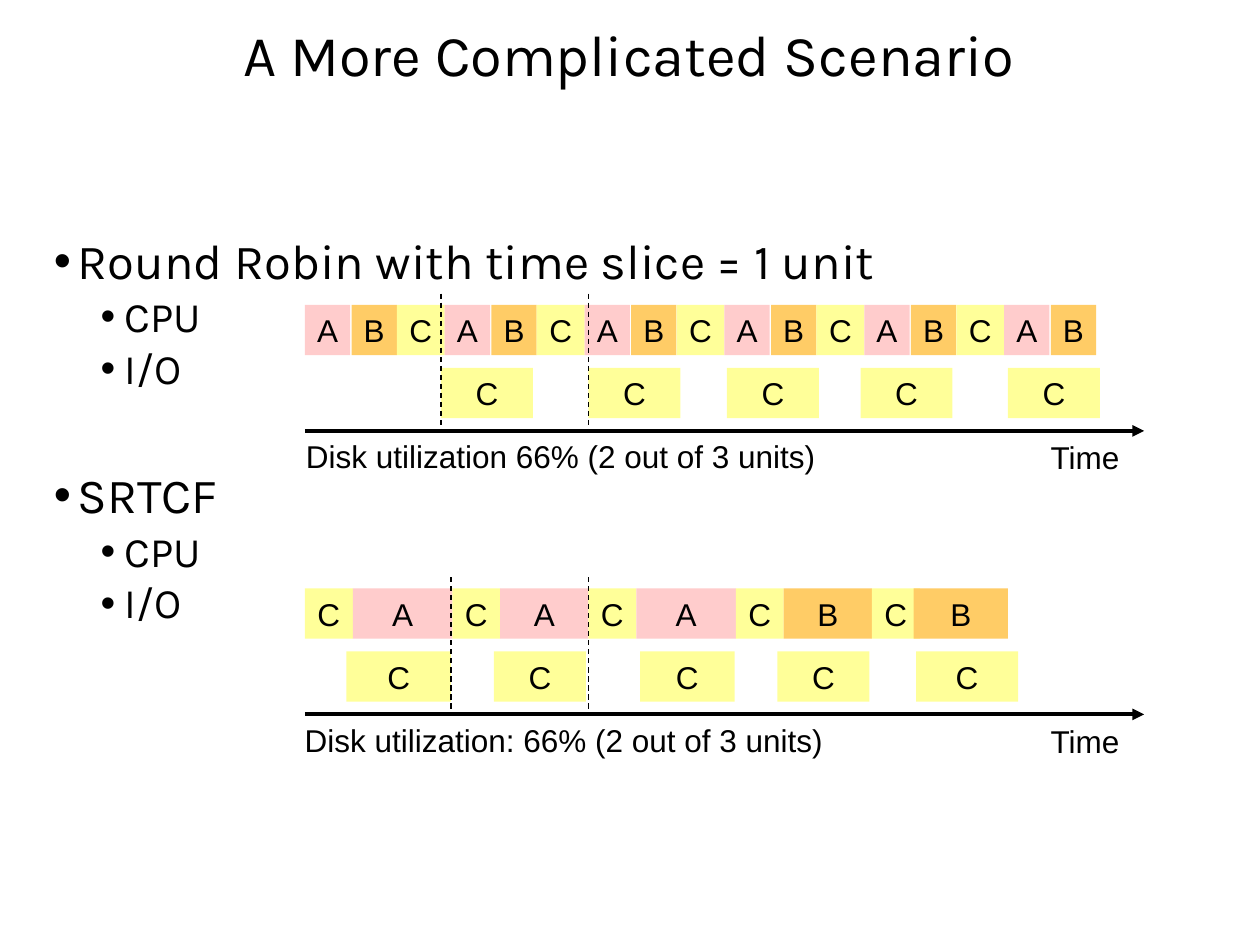
from dataclasses import dataclass

from lxml.etree import SubElement
from pptx import Presentation
from pptx.dml.color import RGBColor
from pptx.enum.dml import MSO_LINE
from pptx.enum.shapes import MSO_CONNECTOR, MSO_SHAPE
from pptx.enum.text import MSO_ANCHOR, PP_ALIGN
from pptx.oxml.ns import qn
from pptx.util import Inches, Pt


@dataclass(frozen=True)
class Theme:
    ink = RGBColor(0x00, 0x00, 0x00)
    jobs = {
        "A": RGBColor(0xFF, 0xCC, 0xCC),
        "B": RGBColor(0xFF, 0xCC, 0x66),
        "C": RGBColor(0xFF, 0xFF, 0x99),
    }
    body_font = "Karla"
    chart_font = "Arial"
    title_size = Pt(33)
    level_sizes = (Pt(28), Pt(24))
    chart_size = Pt(18)


theme = Theme()
prs = Presentation()
prs.slide_width, prs.slide_height = Inches(10), Inches(7.5)
slide = prs.slides.add_slide(prs.slide_layouts[6])


def add_label(text, left, top, width, height=0.4, fill=None, align=PP_ALIGN.LEFT,
              font=theme.chart_font, size=theme.chart_size):
    """Add one line of text, on a filled rectangle if a fill is given."""
    place = [Inches(v) for v in (left, top, width, height)]
    if fill is None:
        label = slide.shapes.add_textbox(*place)
    else:
        label = slide.shapes.add_shape(MSO_SHAPE.RECTANGLE, *place)
        label.shadow.inherit = False
        label.fill.solid()
        label.fill.fore_color.rgb = fill
        label.line.fill.background()
    frame = label.text_frame
    frame.word_wrap = fill is None and align == PP_ALIGN.CENTER
    frame.vertical_anchor = MSO_ANCHOR.MIDDLE
    line = frame.paragraphs[0]
    line.text = text
    line.alignment = align
    line.font.name, line.font.size, line.font.color.rgb = font, size, theme.ink


def add_line(x1, y1, x2, y2, weight):
    """Add a straight black line without a shadow."""
    line = slide.shapes.add_connector(
        MSO_CONNECTOR.STRAIGHT, Inches(x1), Inches(y1), Inches(x2), Inches(y2))
    line.line.color.rgb = theme.ink
    line.line.width = Pt(weight)
    SubElement(line._element.spPr, qn("a:effectLst"))
    return line


# Title
add_label("A More Complicated Scenario", 0.33, 0, 9.33, 0.85, align=PP_ALIGN.CENTER,
          font=theme.body_font, size=theme.title_size)

# Outline: text, level, space before in points
outline = [
    ("Round Robin with time slice = 1 unit", 0, 0),
    ("CPU", 1, 3.7),
    ("I/O", 1, 3.7),
    ("SRTCF", 0, 44.5),
    ("CPU", 1, 3.7),
    ("I/O", 1, 3.7),
]
outline_frame = slide.shapes.add_textbox(
    Inches(0.33), Inches(1.83), Inches(9.33), Inches(4.92)).text_frame
outline_frame.word_wrap = True
for number, (text, level, space) in enumerate(outline):
    item = outline_frame.add_paragraph() if number else outline_frame.paragraphs[0]
    item.text = text
    item.level = level
    item.line_spacing = 0.9
    item.space_before = Pt(space)
    props = item._p.get_or_add_pPr()
    props.set("marL", str(Inches((0.19, 0.56)[level])))
    props.set("indent", str(Inches(-0.19)))
    bullet_color = SubElement(props, qn("a:buClr"))
    SubElement(bullet_color, qn("a:srgbClr"), val=str(theme.ink))
    SubElement(props, qn("a:buFont"), typeface=theme.chart_font)
    SubElement(props, qn("a:buChar"), char="•")
    item.font.name = theme.body_font
    item.font.size = theme.level_sizes[level]
    item.font.color.rgb = theme.ink

# Schedules: each slot is job, left, width
round_robin_slots = [
    (job, 2.42 + 1.11 * cycle + offset, width)
    for cycle in range(6)
    for job, offset, width in (("A", 0, 0.36), ("B", 0.37, 0.36), ("C", 0.73, 0.38))
][:-1]
srtcf_slots = [
    ("C", 2.42, 0.38), ("A", 2.8, 0.79),
    ("C", 3.59, 0.38), ("A", 3.97, 0.7),
    ("C", 4.67, 0.38), ("A", 5.05, 0.79),
    ("C", 5.84, 0.38), ("B", 6.22, 0.7),
    ("C", 6.92, 0.38), ("B", 7.25, 0.75),
]
round_robin_disk = [(left, 0.73) for left in (3.5, 4.67, 5.77, 6.83, 8)]
srtcf_disk = [(2.75, 0.83), (3.92, 0.73), (5.08, 0.75), (6.17, 0.73), (7.27, 0.81)]

# Timelines: top, CPU slots, disk slots, cycle marks, caption, caption left and width
timelines = [
    (2.42, round_robin_slots, round_robin_disk, (3.5, 4.67),
     "Disk utilization 66% (2 out of 3 units)", 2.33, 4.24),
    (4.67, srtcf_slots, srtcf_disk, (3.58, 4.67),
     "Disk utilization: 66% (2 out of 3 units)", 2.32, 4.38),
]
for top, cpu, disk, marks, caption, caption_left, caption_width in timelines:
    axis_y = top + 1

    # Time axis
    axis = add_line(2.42, axis_y, 9.08, axis_y, 2.25)
    SubElement(axis.line._get_or_add_ln(), qn("a:tailEnd"), type="triangle")
    add_label("Time", 8.24, axis_y + 0.01, 0.75)

    # CPU row, then disk row
    for job, left, width in cpu:
        add_label(job, left, top, width, fill=theme.jobs[job], align=PP_ALIGN.CENTER)
    for left, width in disk:
        add_label("C", left, top + 0.5, width, fill=theme.jobs["C"], align=PP_ALIGN.CENTER)

    # Caption and the marks around one cycle
    add_label(caption, caption_left, axis_y, caption_width)
    for x in marks:
        add_line(x, top - 0.09, x, axis_y, 0.75).line.dash_style = MSO_LINE.DASH

prs.save("out.pptx")
